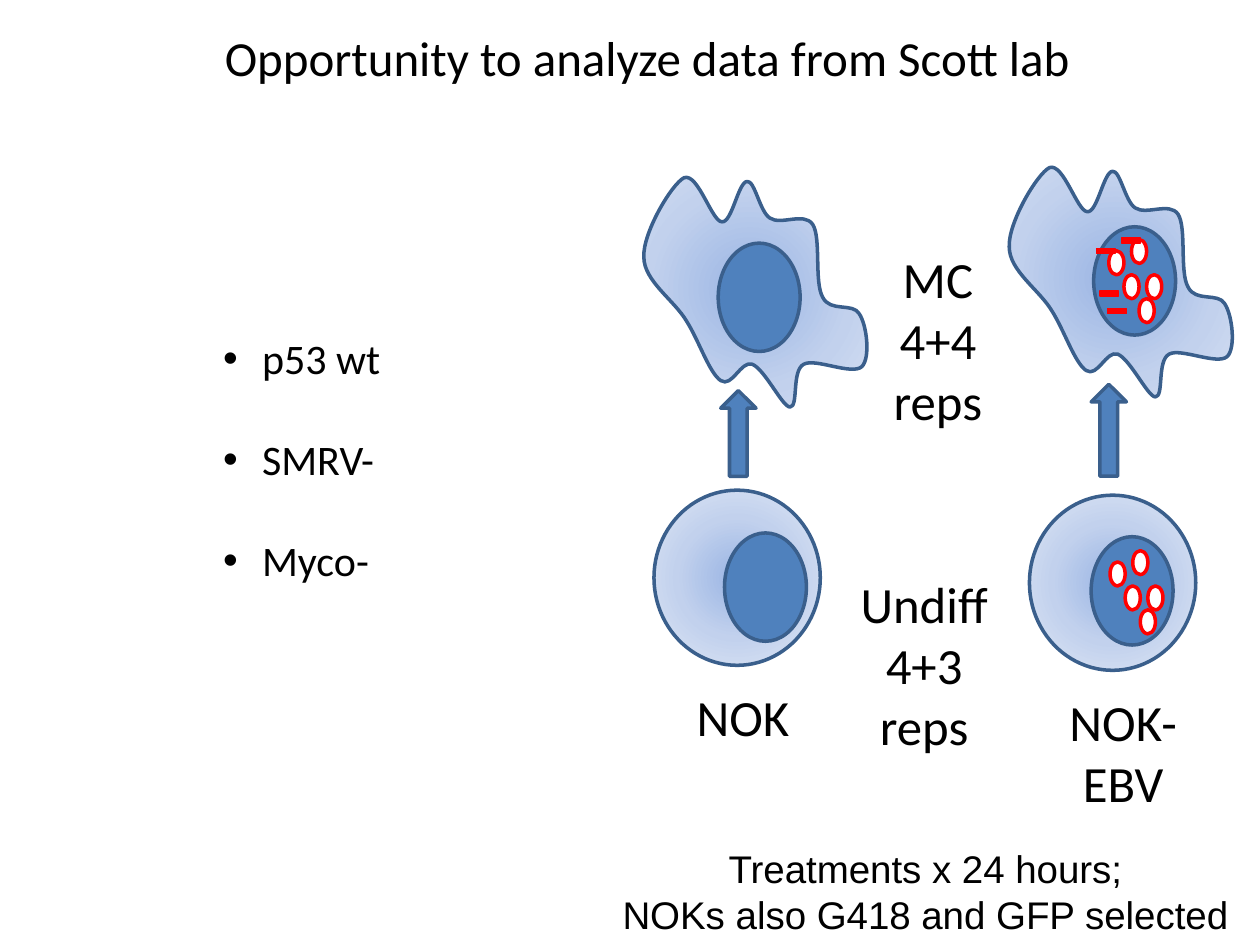
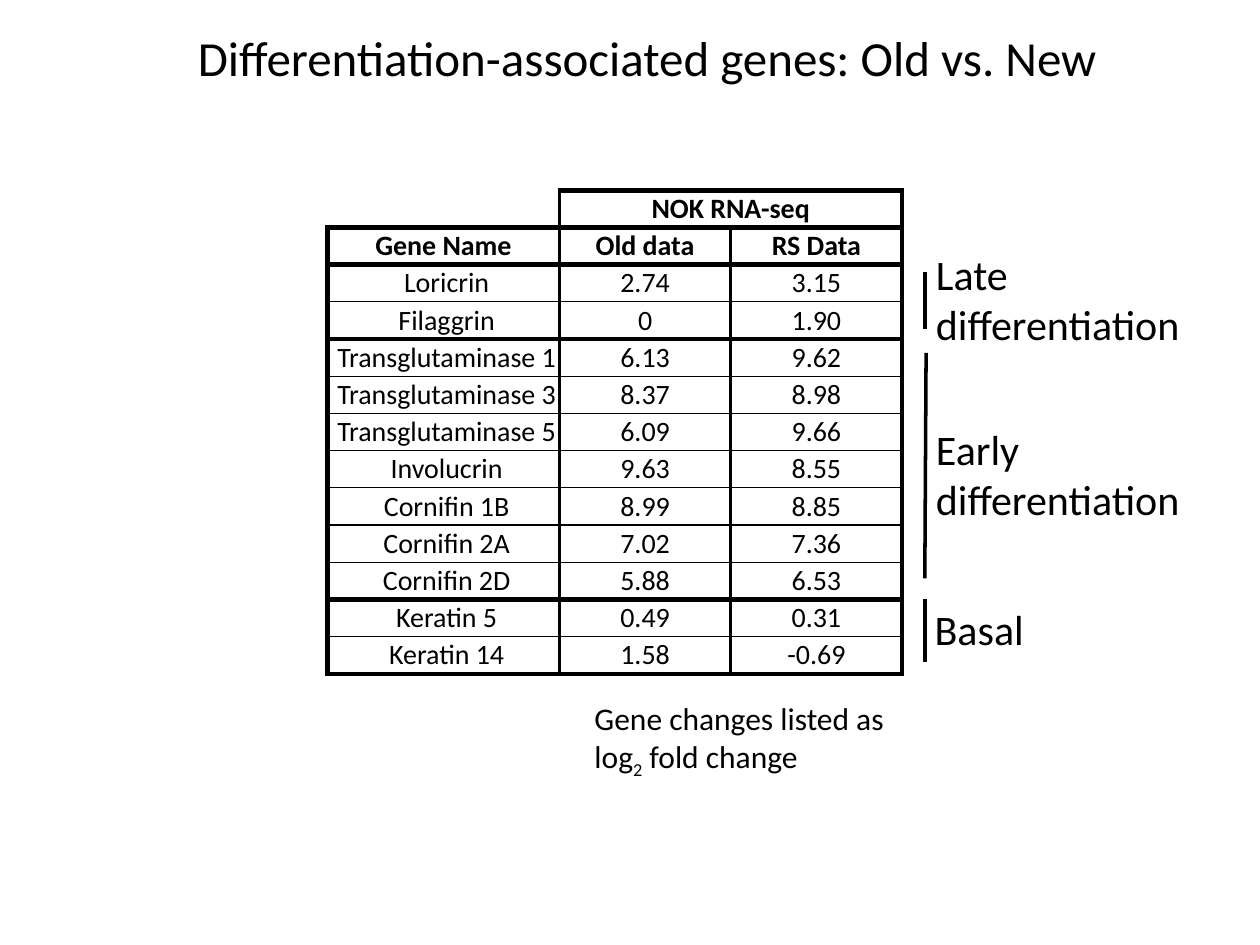
from math import cos, radians, sin

from lxml import etree
from pptx import Presentation
from pptx.dml.color import RGBColor
from pptx.enum.shapes import MSO_CONNECTOR, MSO_SHAPE
from pptx.enum.text import MSO_ANCHOR, MSO_AUTO_SIZE, PP_ALIGN
from pptx.oxml import parse_xml
from pptx.oxml.ns import nsdecls, qn
from pptx.util import Inches, Pt

OVAL, BAR, UP_ARROW = MSO_SHAPE.OVAL, MSO_SHAPE.RECTANGLE, MSO_SHAPE.UP_ARROW
STRAIGHT = MSO_CONNECTOR.STRAIGHT
LEFT, CENTER = PP_ALIGN.LEFT, PP_ALIGN.CENTER
TOP, MIDDLE = MSO_ANCHOR.TOP, MSO_ANCHOR.MIDDLE
NO_FIT = MSO_AUTO_SIZE.NONE

BLACK = RGBColor(0, 0, 0)
WHITE = RGBColor(255, 255, 255)
RED = RGBColor(255, 0, 0)
BLUE = RGBColor(0x4F, 0x81, 0xBD)
DARK_BLUE = RGBColor(0x3A, 0x5F, 0x8C)
CYTOPLASM = [(0, RGBColor(0x9A, 0xB5, 0xE4)), (50, RGBColor(0xC2, 0xD1, 0xED)),
             (100, RGBColor(0xE1, 0xE8, 0xF5))]

CELL_LEFT, CELL_TOP, CELL_WIDTH, CELL_HEIGHT = 5.18, 1.28, 1.54, 2.02
CELL_TILT = 339.9
CELL_START = (5.11, 2.04)
CELL_CURVES = [
    (5.1, 1.85, 5.33, 1.46, 5.43, 1.41), (5.54, 1.37, 5.65, 1.76, 5.73, 1.76),
    (5.81, 1.77, 5.86, 1.44, 5.93, 1.44), (5.99, 1.43, 6.03, 1.68, 6.11, 1.73),
    (6.2, 1.79, 6.38, 1.68, 6.45, 1.78), (6.52, 1.89, 6.46, 2.24, 6.53, 2.36),
    (6.59, 2.48, 6.77, 2.4, 6.82, 2.49), (6.88, 2.58, 6.91, 2.84, 6.84, 2.91),
    (6.76, 2.98, 6.47, 2.84, 6.38, 2.89), (6.28, 2.94, 6.34, 3.23, 6.27, 3.23),
    (6.21, 3.23, 6.07, 2.93, 5.97, 2.89), (5.88, 2.86, 5.81, 3.08, 5.72, 3.02),
    (5.63, 2.96, 5.55, 2.71, 5.45, 2.55), (5.35, 2.38, 5.11, 2.23, 5.11, 2.04),
]
EPISOMES = [(0.12, 0.19), (0.24, 0.38), (0.36, 0.57), (0.42, 0.38), (0.3, 0.1)]

GENES = [
    ("Loricrin", "2.74", "3.15"), ("Filaggrin", "0", "1.90"),
    ("Transglutaminase 1", "6.13", "9.62"), ("Transglutaminase 3", "8.37", "8.98"),
    ("Transglutaminase 5", "6.09", "9.66"), ("Involucrin", "9.63", "8.55"),
    ("Cornifin 1B", "8.99", "8.85"), ("Cornifin 2A", "7.02", "7.36"),
    ("Cornifin 2D", "5.88", "6.53"), ("Keratin 5", "0.49", "0.31"),
    ("Keratin 14", "1.58", "-0.69"),
]
ROWS = [("", "NOK RNA-seq", ""), ("Gene Name", "Old data", "RS Data")] + GENES
COLUMN_RULES = [3, 2.25, 2.25, 3]
ROW_RULES = [3, 3, 3, 0.5, 3, 0.5, 0.5, 0.5, 0.5, 1, 1, 3, 0.5, 3]


def upright(x, y):
    angle = radians(-CELL_TILT)
    dx = x - CELL_LEFT - CELL_WIDTH / 2
    dy = y - CELL_TOP - CELL_HEIGHT / 2
    return (Inches(CELL_WIDTH / 2 + dx * cos(angle) - dy * sin(angle)),
            Inches(CELL_HEIGHT / 2 + dx * sin(angle) + dy * cos(angle)))


class Deck:
    font = "Calibri"

    def __init__(self):
        self.prs = Presentation()
        self.prs.slide_width, self.prs.slide_height = Inches(10), Inches(7.5)

    def new_slide(self, layout, title):
        self.slide = self.prs.slides.add_slide(self.prs.slide_layouts[layout])
        self.fill_frame(self.place(self.slide.shapes.title, 0.64, 0.17, 8.99, 0.57),
                        [title], 28, CENTER)

    def place(self, holder, x, y, w, h):
        holder.left, holder.top = Inches(x), Inches(y)
        holder.width, holder.height = Inches(w), Inches(h)
        frame = holder.text_frame
        frame.auto_size = NO_FIT
        return frame

    def add_run(self, paragraph, words, size, font=None, bold=False):
        run = paragraph.add_run()
        run.text = words
        run.font.name, run.font.size = font or self.font, Pt(size)
        run.font.bold, run.font.color.rgb = bold, BLACK
        return run

    def fill_frame(self, frame, lines, size, align=LEFT, font=None):
        frame.word_wrap, frame.vertical_anchor = True, TOP
        for number, line in enumerate(lines):
            paragraph = frame.add_paragraph() if number else frame.paragraphs[0]
            paragraph.alignment = align
            self.add_run(paragraph, line, size, font)
        return frame

    def label(self, x, y, w, h, lines, size, align=LEFT, font=None):
        box = self.slide.shapes.add_textbox(Inches(x), Inches(y), Inches(w), Inches(h))
        return self.fill_frame(box.text_frame, lines, size, align, font)

    def bullets(self, x, y, w, h, items, size, gap):
        frame = self.place(self.slide.placeholders[1], x, y, w, h)
        self.fill_frame(frame, items, size)
        for number, paragraph in enumerate(frame.paragraphs):
            props = paragraph._p.get_or_add_pPr()
            props.set("marL", str(Inches(0.31)))
            props.set("indent", str(-Inches(0.31)))
            etree.SubElement(props, qn("a:buChar")).set("char", "•")
            paragraph.space_before = Pt(gap if number else 0)

    def paint(self, shape, fill, line=DARK_BLUE, width=2):
        shape.shadow.inherit = False
        shape.line.color.rgb, shape.line.width = line, Pt(width)
        if isinstance(fill, RGBColor):
            shape.fill.solid()
            shape.fill.fore_color.rgb = fill
            return
        shape.fill.gradient()
        stops = "".join(f'<a:gs pos="{pos * 1000}"><a:srgbClr val="{color}"/></a:gs>'
                        for pos, color in fill)
        gradient = parse_xml(
            f'<a:gradFill {nsdecls("a")} rotWithShape="1"><a:gsLst>{stops}</a:gsLst>'
            '<a:path path="circle"><a:fillToRect l="50000" t="50000" r="50000" b="50000"/>'
            '</a:path></a:gradFill>')
        props = shape._element.spPr
        props.replace(props.find(qn("a:gradFill")), gradient)

    def shape(self, kind, x, y, w, h, fill, line=DARK_BLUE, width=2):
        shape = self.slide.shapes.add_shape(kind, Inches(x), Inches(y), Inches(w), Inches(h))
        self.paint(shape, fill, line, width)

    def differentiated_cell(self, dx=0, dy=0):
        builder = self.slide.shapes.build_freeform(*upright(*CELL_START))
        builder.add_line_segments([upright(*curve[4:]) for curve in CELL_CURVES])
        membrane = builder.convert_to_shape()
        membrane.left, membrane.top = Inches(CELL_LEFT + dx), Inches(CELL_TOP + dy)
        membrane.width, membrane.height = Inches(CELL_WIDTH), Inches(CELL_HEIGHT)
        membrane.rotation = CELL_TILT
        outline = next(membrane._element.iter(qn("a:pathLst")))[0]
        outline.set("w", str(membrane.width))
        outline.set("h", str(membrane.height))
        self.set_points(outline[0], CELL_START)
        for segment, curve in zip(outline.findall(qn("a:lnTo")), CELL_CURVES):
            bezier = etree.Element(qn("a:cubicBezTo"))
            self.set_points(bezier, curve)
            outline.replace(segment, bezier)
        self.paint(membrane, CYTOPLASM)

    def set_points(self, segment, coordinates):
        for point in list(segment):
            segment.remove(point)
        for pair in zip(coordinates[::2], coordinates[1::2]):
            point = etree.SubElement(segment, qn("a:pt"))
            for axis, value in zip("xy", upright(*pair)):
                point.set(axis, str(value))

    def round_cell(self, x, y):
        self.shape(OVAL, x, y, 1.32, 1.39, CYTOPLASM)

    def nucleus(self, x, y):
        self.shape(OVAL, x, y, 0.65, 0.86, BLUE)

    def episomes(self, x, y):
        for dx, dy in EPISOMES:
            self.shape(OVAL, x + dx, y + dy, 0.12, 0.19, WHITE, RED)

    def rule(self, x1, y1, x2, y2):
        line = self.slide.shapes.add_connector(
            STRAIGHT, Inches(x1), Inches(y1), Inches(x2), Inches(y2))
        line.line.color.rgb, line.line.width = BLACK, Pt(2)
        etree.SubElement(line._element.spPr, qn("a:effectLst"))

    def borders(self, cell, widths):
        props = cell._tc.get_or_add_tcPr()
        for position, (side, width) in enumerate(zip("LRTB", widths)):
            ink = f'<a:solidFill><a:srgbClr val="{BLACK}"/></a:solidFill>' if width else "<a:noFill/>"
            props.insert(position, parse_xml(
                f'<a:ln{side} {nsdecls("a")} w="{Pt(width)}">{ink}</a:ln{side}>'))

    def gene_table(self, x, y, column_widths, height):
        table = self.slide.shapes.add_table(
            len(ROWS), len(column_widths), Inches(x), Inches(y),
            Inches(sum(column_widths)), Inches(height)).table
        table.first_row = table.horz_banding = False
        for column, width in zip(table.columns, column_widths):
            column.width = Inches(width)
        for r, row in enumerate(ROWS):
            table.rows[r].height = Inches(height / len(ROWS))
            for c, words in enumerate(row):
                cell = table.cell(r, c)
                cell.fill.background()
                cell.vertical_anchor = MIDDLE
                cell.margin_left = Inches(0.06 if c == 0 and r > 1 else 0.01)
                cell.margin_right = Inches(0.01)
                cell.margin_top = cell.margin_bottom = 0
                paragraph = cell.text_frame.paragraphs[0]
                paragraph.alignment = CENTER
                if words:
                    self.add_run(paragraph, words, 16, bold=r < 2)
                else:
                    etree.SubElement(paragraph._p, qn("a:endParaRPr")).set("sz", "1600")
                left, right = COLUMN_RULES[c:c + 2]
                top, bottom = ROW_RULES[r:r + 2]
                if r == 0:
                    left = 2.25 if c == 1 else 0
                    right = 3 if c else 2.25
                    top = 3 if c else 0
                self.borders(cell, (left, right, top, bottom))
        table.cell(0, 1).merge(table.cell(0, 2))


def cell_lines_slide(deck):
    deck.new_slide(1, "Opportunity to analyze data from Scott lab")
    deck.bullets(1.67, 2.59, 1.49, 2.12, ["p53 wt", "SMRV-", "Myco-"], 24, 29)

    deck.differentiated_cell()
    deck.differentiated_cell(2.9, -0.08)
    deck.nucleus(5.7, 1.93)
    deck.nucleus(8.68, 1.8)
    deck.episomes(8.68, 1.8)

    deck.round_cell(5.19, 3.89)
    deck.nucleus(5.75, 4.23)
    deck.round_cell(8.17, 3.93)
    deck.nucleus(8.66, 4.26)
    deck.episomes(8.69, 4.27)

    deck.shape(UP_ARROW, 8.66, 3.05, 0.28, 0.73, BLUE)
    deck.shape(UP_ARROW, 5.72, 3.1, 0.28, 0.68, BLUE)
    for x, y in [(8.7, 1.97), (8.9, 1.89), (8.73, 2.31), (8.79, 2.45)]:
        deck.shape(BAR, x, y, 0.15, 0.04, RED, RED, 0.75)

    deck.label(5.43, 5.39, 1.38, 0.59, ["NOK"], 29)
    deck.label(8.18, 5.43, 1.47, 1.08, ["NOK-EBV"], 29, CENTER)
    deck.label(6.66, 4.5, 1.35, 1.57, ["Undiff 4+3 reps"], 29, CENTER)
    deck.label(6.88, 1.92, 1.13, 1.57, ["MC 4+4 reps"], 29, CENTER)
    deck.label(4.75, 6.66, 5.19, 0.84,
               ["Treatments x 24 hours;", "NOKs also G418 and GFP selected"],
               22, CENTER, "Arial")


def genes_slide(deck):
    deck.new_slide(5, "Differentiation-associated genes: Old vs. New")
    deck.gene_table(2.6, 1.51, [1.84, 1.36, 1.36], 3.84)

    note = deck.label(4.62, 5.5, 2.53, 0.71, ["Gene changes listed as", "log"], 18)
    formula = note.paragraphs[1]
    subscript = deck.add_run(formula, "2", 18)
    subscript._r.get_or_add_rPr().set("baseline", "-25000")
    deck.add_run(formula, " fold change", 18)

    deck.label(7.33, 1.92, 2.42, 0.91, ["Late", "differentiation"], 24)
    deck.label(7.33, 3.31, 2.42, 0.91, ["Early differentiation"], 24)
    deck.label(7.32, 4.74, 1.03, 0.51, ["Basal"], 24)
    deck.rule(7.34, 2.61, 7.34, 2.16)
    deck.rule(7.34, 4.59, 7.35, 2.8)
    deck.rule(7.34, 5.25, 7.34, 4.75)


def main():
    deck = Deck()
    cell_lines_slide(deck)
    genes_slide(deck)
    deck.prs.save("out.pptx")


if __name__ == "__main__":
    main()
